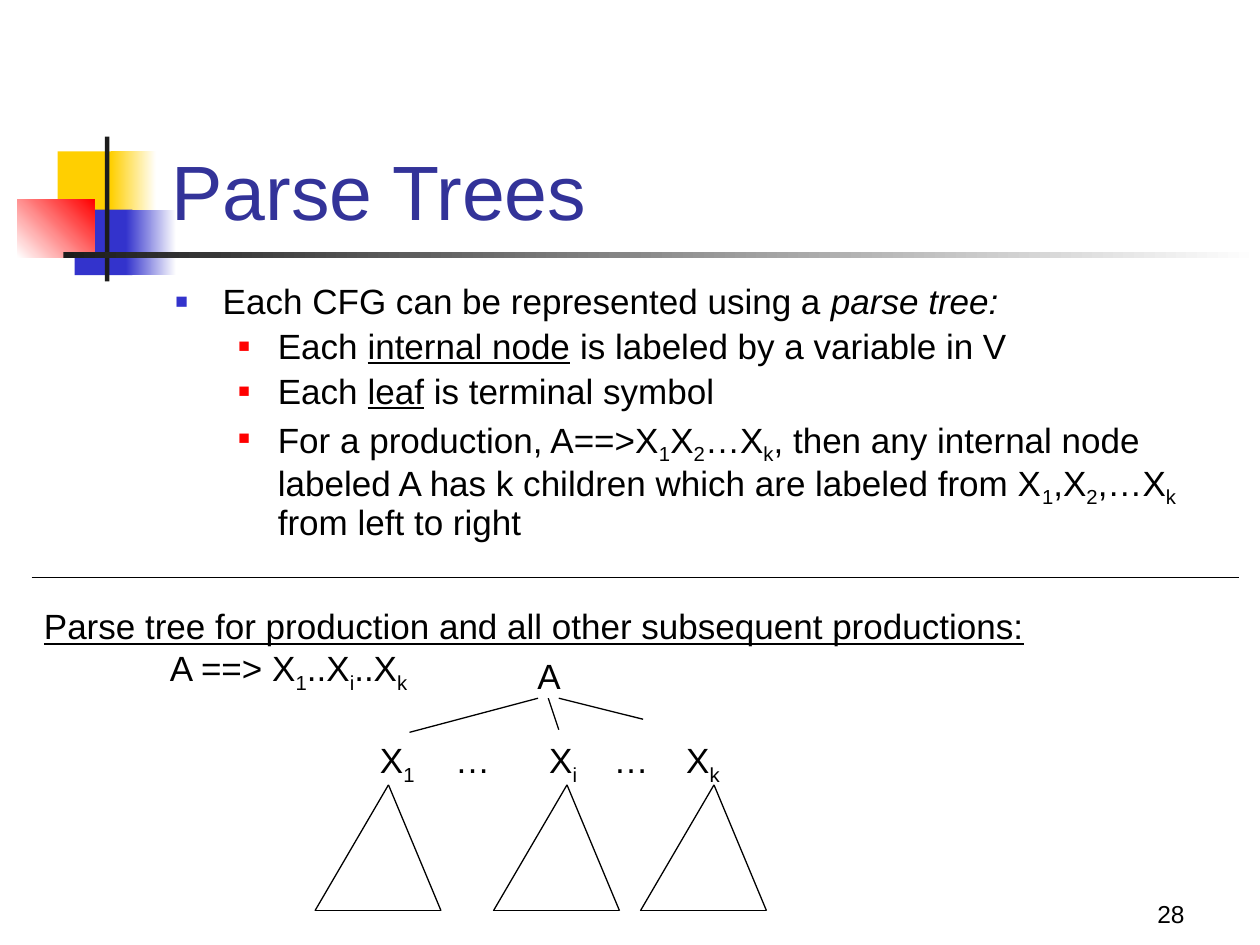
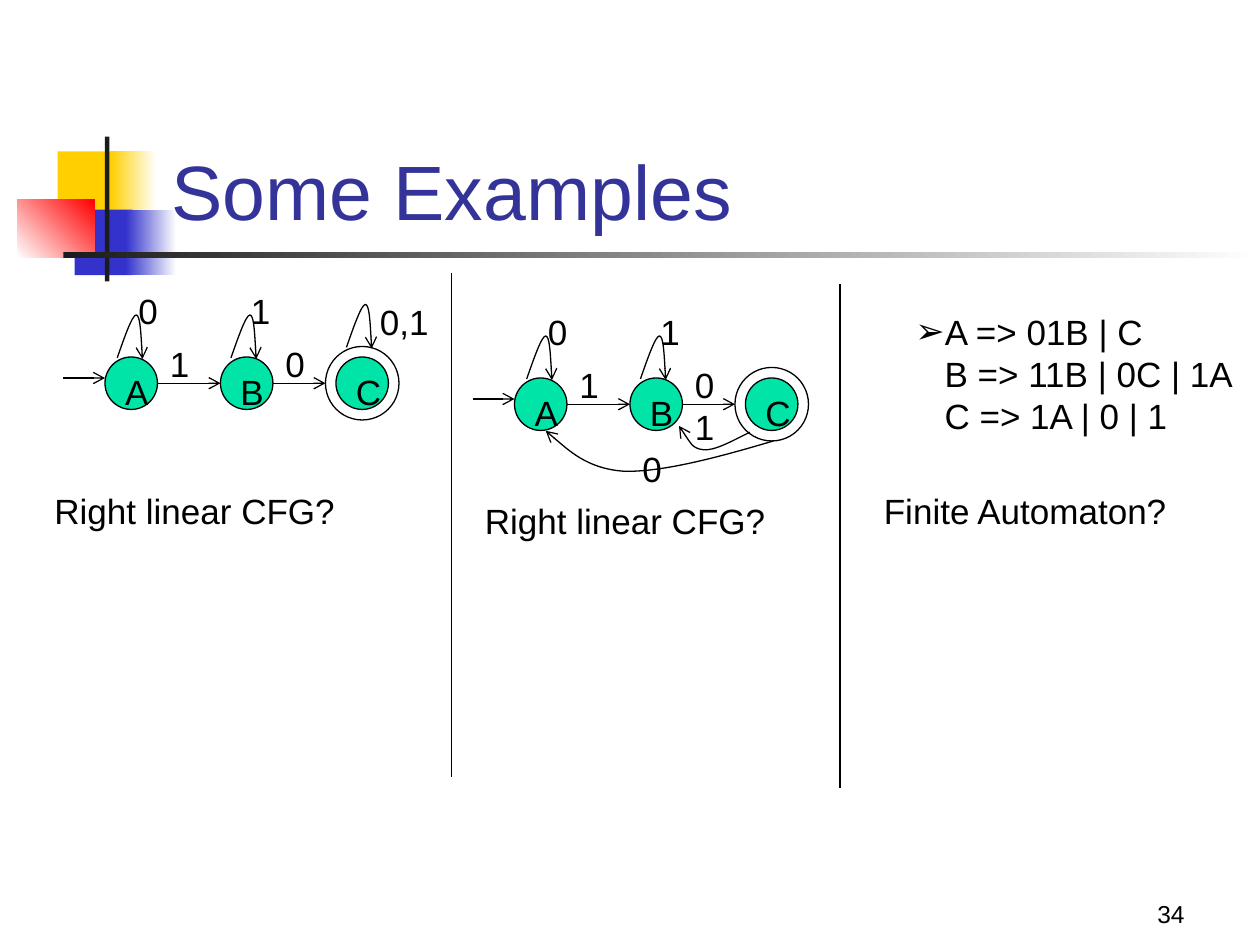
from itertools import combinations
from lxml.etree import SubElement
from pptx import Presentation
from pptx.dml.color import RGBColor
from pptx.enum.shapes import MSO_CONNECTOR, MSO_SHAPE
from pptx.enum.text import MSO_ANCHOR, PP_ALIGN
from pptx.oxml.ns import qn
from pptx.util import Pt

BLACK = RGBColor(0x00, 0x00, 0x00)
WHITE = RGBColor(0xFF, 0xFF, 0xFF)
CHARCOAL = RGBColor(0x1C, 0x1C, 0x1C)
YELLOW = RGBColor(0xFF, 0xCF, 0x01)
BLUE = RGBColor(0x33, 0x33, 0xCC)
RED = RGBColor(0xFF, 0x00, 0x00)
TITLE_BLUE = RGBColor(0x33, 0x33, 0x99)
STATE_GREEN = RGBColor(0x00, 0xE4, 0xA8)
FONT = "Arial"

BAND = [
    ((33, 86.5, 34.5, 37.5), (YELLOW,), 0),
    ((63.3, 86.5, 26, 37.5), (YELLOW, WHITE), 0),
    ((42.7, 119.8, 33, 37.5), (BLUE,), 0),
    ((72, 119.8, 28.7, 37.5), (BLUE, WHITE), 0),
    ((10, 113.9, 44, 33.3), (WHITE, RED), 45),
    ((60, 78, 2.5, 82.8), (CHARCOAL,), 0),
    ((36.2, 144, 683.8, 3.5), (CHARCOAL, WHITE), 0),
]

TREE_RULES = [
    (0, ["Each CFG can be represented using a ", ("parse tree:", "italic")]),
    (1, ["Each ", ("internal node", "underline"), " is labeled by a variable in V"]),
    (1, ["Each ", ("leaf", "underline"), " is terminal symbol"]),
    (1, ["For a production, A==>X", ("1", "sub"), "X", ("2", "sub"), "…X", ("k", "sub"),
         ", then any internal node labeled A has k children which are labeled from X",
         ("1", "sub"), ",X", ("2", "sub"), ",…X", ("k", "sub"), " from left to right"]),
]
RULE_LEVELS = [
    dict(left=27, hang=27, bullet=("■", BLUE, 60)),
    dict(left=58.5, hang=22.5, bullet=("■", RED, 55)),
]
TREE_HEADING = [("Parse tree for production and all other subsequent productions:", "underline")]
TREE_PRODUCTION = ["A ==> X", ("1", "sub"), "..X", ("i", "sub"), "..X", ("k", "sub")]
TREE_ROOT = (300, 370.5, 28, ["A"])
TREE_CHILDREN = [
    (210, 35, ["X", ("1", "sub")]),
    (253, 34.5, ["…"]),
    (306.8, 31, ["X", ("i", "sub")]),
    (343.5, 34.5, ["…"]),
    (385, 34.5, ["X", ("k", "sub")]),
]
TREE_BRANCHES = [((307.5, 399), (234, 418.5)), ((313.3, 399), (319.3, 417)),
                 ((319.3, 399), (367.5, 411))]
SUBTREE_APEXES = [222, 324, 408]
SUBTREE_TOP, SUBTREE_BASE = 448.5, 520.4

STATES = [("A", 60), ("B", 126), ("C", 192)]
STATE_TOP, STATE_SIZE, RING_GAP = 204, 30, 6
TRANSITIONS = [(36, 60, 216), (90, 126, 219), (156, 186, 219)]
SHARED_LOOPS = [(67, 180), (132, 180)]
LOOP_CURVE = [(0, 24.5), (4.3, 12.25), (8.6, 0), (10.8, 0), (13, 0), (13.7, 12.5), (14.4, 25.2)]
SHARED_LABELS = [("0", 72, 162), ("1", 90, 192), ("0", 156, 192), ("1", 136.2, 162)]
AUTOMATA = [
    dict(offset=(0, 0), loops=[(198, 174)], returns=[], labels=[("0,1", 210, 168)]),
    dict(offset=(234, 12), loops=[],
         returns=[
             [(194.5, 235), (184.3, 240), (174.2, 245.8), (167.8, 245),
              (161.3, 244.3), (154, 231.4), (154, 231.4)],
             [(208, 240), (176.4, 249.4), (144, 258), (122.4, 257.3),
              (100.8, 255.8), (77.8, 234.2), (77.8, 234.2)],
         ],
         labels=[("1", 156, 216), ("0", 126, 240)]),
]
GRAMMAR = ["A => 01B | C", "B => 11B | 0C | 1A", "C => 1A | 0 | 1"]
QUESTIONS = [("Right linear CFG?", 24, 276), ("Right linear CFG?", 270, 282),
             ("Finite Automaton?", 498, 276)]
DIVIDERS = [(258, 156), (480, 162)]


def points(*values):
    return [Pt(value) for value in values]


def write_paragraph(paragraph, runs, size=20, color=BLACK, left=0, hang=0, bullet=None):
    properties = paragraph._p.get_or_add_pPr()
    if left:
        properties.set("marL", str(Pt(left)))
        properties.set("indent", str(-Pt(hang)))
    if bullet:
        symbol, bullet_color, percent = bullet
        tint = SubElement(properties, qn("a:buClr"))
        SubElement(tint, qn("a:srgbClr"), val=str(bullet_color))
        SubElement(properties, qn("a:buSzPct"), val=str(percent * 1000))
        SubElement(properties, qn("a:buFont"), typeface=FONT)
        SubElement(properties, qn("a:buChar"), char=symbol)
    paragraph.font.size = Pt(size)
    paragraph.font.name = FONT
    paragraph.font.color.rgb = color
    for part in runs:
        text, style = (part, None) if isinstance(part, str) else part
        run = paragraph.add_run()
        run.text = text
        if style == "italic":
            run.font.italic = True
        elif style == "underline":
            run.font.underline = True
        elif style == "sub":
            run._r.get_or_add_rPr().set("baseline", "-25000")


def add_text(slide, box, paragraphs, wrap=True, anchor=MSO_ANCHOR.TOP):
    frame = slide.shapes.add_textbox(*points(*box)).text_frame
    frame.word_wrap = wrap
    frame.vertical_anchor = anchor
    for index, (runs, look) in enumerate(paragraphs):
        paragraph = frame.add_paragraph() if index else frame.paragraphs[0]
        write_paragraph(paragraph, runs, **look)
    return frame


def add_label(slide, left, top, width, runs):
    add_text(slide, (left, top, width, 31.5), [(runs, {})], wrap=False)


def draw_outline(shape, arrow):
    shape.line.color.rgb = BLACK
    shape.line.width = Pt(0.75)
    if arrow:
        SubElement(shape.element.spPr.find(qn("a:ln")), qn("a:tailEnd"), type="arrow")


def add_line(slide, start, end, arrow=False):
    line = slide.shapes.add_connector(MSO_CONNECTOR.STRAIGHT, *points(*start, *end))
    draw_outline(line, arrow)
    SubElement(line.element.spPr, qn("a:effectLst"))


def add_curve(slide, knots):
    builder = slide.shapes.build_freeform(*points(*knots[0]))
    builder.add_line_segments([points(*knot) for knot in knots[1:]], close=False)
    curve = builder.convert_to_shape()
    curve.shadow.inherit = False
    curve.fill.background()
    draw_outline(curve, arrow=True)
    outline = next(curve.element.iter(qn("a:path")))
    for index, straight in enumerate(outline.findall(qn("a:lnTo"))):
        if index % 3 == 0:
            bend = SubElement(outline, qn("a:cubicBezTo"))
        bend.append(straight[0])
        outline.remove(straight)


def add_circle(slide, left, top, size, name=None):
    circle = slide.shapes.add_shape(MSO_SHAPE.OVAL, *points(left, top, size, size))
    circle.shadow.inherit = False
    draw_outline(circle, arrow=False)
    if name is None:
        circle.fill.background()
        return
    circle.fill.solid()
    circle.fill.fore_color.rgb = STATE_GREEN
    circle.text_frame.vertical_anchor = MSO_ANCHOR.TOP
    paragraph = circle.text_frame.paragraphs[0]
    paragraph.alignment = PP_ALIGN.CENTER
    write_paragraph(paragraph, [name])


def add_slide(deck, title, number):
    slide = deck.slides.add_slide(deck.slide_layouts[6])
    for box, colors, angle in BAND:
        block = slide.shapes.add_shape(MSO_SHAPE.RECTANGLE, *points(*box))
        block.shadow.inherit = False
        block.line.fill.background()
        if len(colors) == 1:
            block.fill.solid()
            block.fill.fore_color.rgb = colors[0]
        else:
            block.fill.gradient()
            block.fill.gradient_angle = angle
            for stop, color in zip(block.fill.gradient_stops, colors):
                stop.color.rgb = color
    add_text(slide, (90.8, 48.6, 613.5, 90), [([title], dict(size=44, color=TITLE_BLUE))],
             anchor=MSO_ANCHOR.BOTTOM)
    footer = add_text(slide, (534, 498, 150, 36), [([number], dict(size=14))],
                      anchor=MSO_ANCHOR.BOTTOM)
    footer.paragraphs[0].alignment = PP_ALIGN.RIGHT
    return slide


def build_parse_trees(deck):
    slide = add_slide(deck, "Parse Trees", "28")
    rules = add_text(slide, (93.2, 159, 612, 189.5),
                     [(runs, RULE_LEVELS[level]) for level, runs in TREE_RULES])
    for paragraph in rules.paragraphs:
        paragraph.line_spacing = 0.9
        paragraph.space_before = Pt(4)
    add_line(slide, (18, 330), (708, 330))
    add_text(slide, (18, 342, 578, 55.5), [(TREE_HEADING, {}), (TREE_PRODUCTION, dict(left=72))])
    add_label(slide, *TREE_ROOT)
    for left, width, runs in TREE_CHILDREN:
        add_label(slide, left, 418.5, width, runs)
    for start, end in TREE_BRANCHES:
        add_line(slide, start, end)
    for apex in SUBTREE_APEXES:
        corners = [(apex, SUBTREE_TOP), (apex - 42, SUBTREE_BASE), (apex + 30, SUBTREE_BASE)]
        for start, end in combinations(corners, 2):
            add_line(slide, start, end)


def add_automaton(slide, offset, loops, returns, labels):
    dx, dy = offset
    for name, left in STATES:
        add_circle(slide, left + dx, STATE_TOP + dy, STATE_SIZE, name)
    add_circle(slide, STATES[-1][1] - RING_GAP + dx, STATE_TOP - RING_GAP + dy,
               STATE_SIZE + 2 * RING_GAP)
    for start, end, y in TRANSITIONS:
        add_line(slide, (start + dx, y + dy), (end + dx, y + dy), arrow=True)
    loop_curves = [[(left + x, top + y) for x, y in LOOP_CURVE]
                   for left, top in SHARED_LOOPS + loops]
    for knots in loop_curves + returns:
        add_curve(slide, [(x + dx, y + dy) for x, y in knots])
    for symbol, left, top in SHARED_LABELS + labels:
        add_label(slide, left + dx, top + dy, 26 if len(symbol) == 1 else 42.5, [symbol])


def build_examples(deck):
    slide = add_slide(deck, "Some Examples", "34")
    for automaton in AUTOMATA:
        add_automaton(slide, **automaton)
    first, *others = GRAMMAR
    add_text(slide, (516, 174, 197.5, 80),
             [([first], dict(left=16.7, hang=16.7, bullet=("➢", BLACK, 100)))]
             + [([rule], dict(left=16.7)) for rule in others])
    for x, top in DIVIDERS:
        add_line(slide, (x, top), (x, top + 288))
    for question, left, top in QUESTIONS:
        add_label(slide, left, top, 176.5, [question])


def main():
    deck = Presentation()
    deck.slide_width, deck.slide_height = points(720, 540)
    build_parse_trees(deck)
    build_examples(deck)
    deck.save("out.pptx")


if __name__ == "__main__":
    main()
